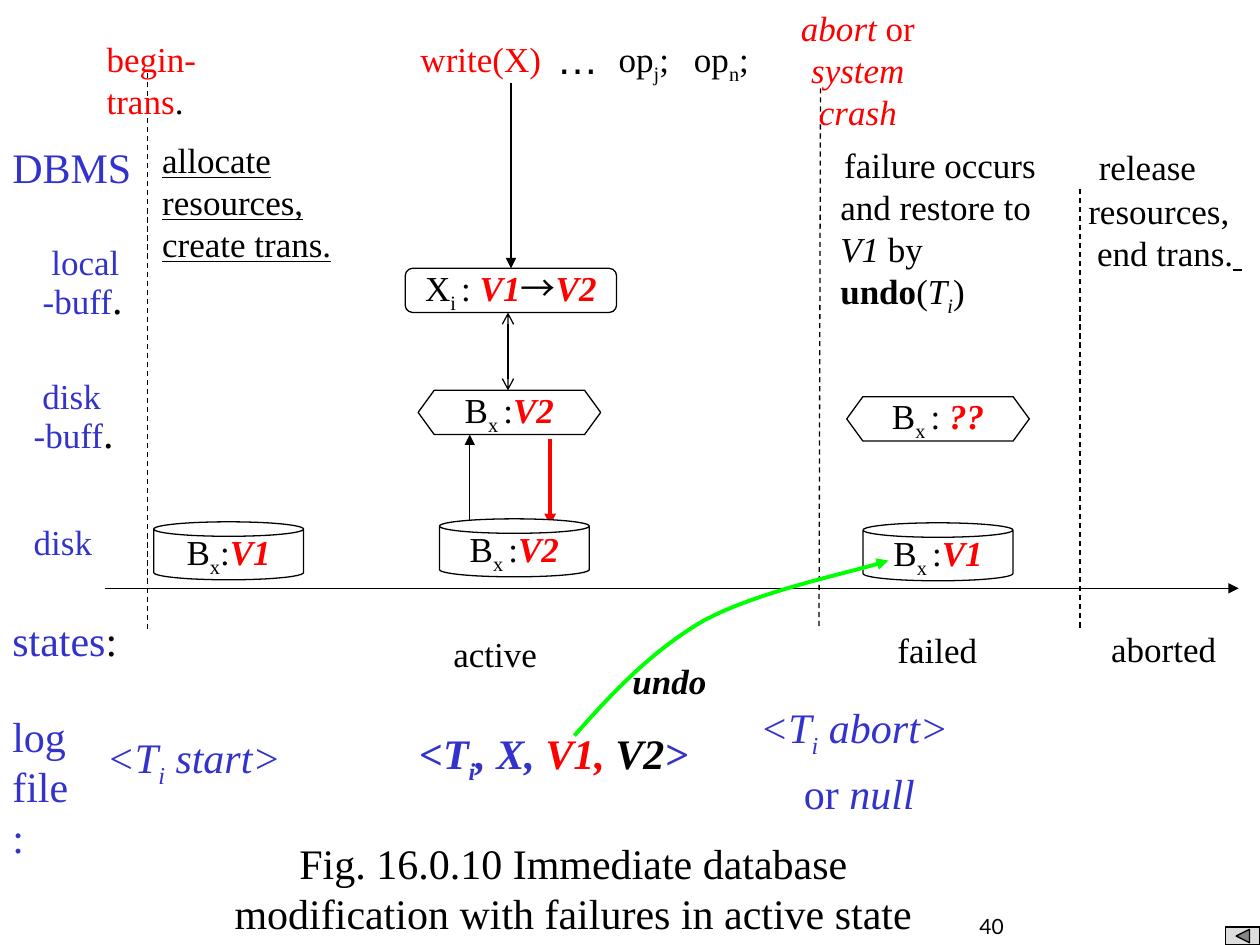
from lxml import etree
from pptx import Presentation
from pptx import util as u
from pptx.dml.color import RGBColor
from pptx.enum import dml, shapes, text
from pptx.oxml.ns import qn

COLORS = {"k": "000000", "b": "3333CC", "r": "FF0000", "g": "00FF00", "w": "FFFFFF", "grey": "DDDDDD"}
SERIF = "Times New Roman"
LEFT, CENTER = text.PP_ALIGN.LEFT, text.PP_ALIGN.CENTER
KIND = shapes.MSO_SHAPE


def fill_text(tf, paras, size=20, align=LEFT, font=SERIF):
    for n, runs in enumerate(paras):
        p = tf.paragraphs[0] if n == 0 else tf.add_paragraph()
        p.alignment = align
        p.font.name, p.font.size = font, u.Pt(size)
        for words, color, flags in runs:
            r = p.add_run()
            r.text = words
            r.font.color.rgb = RGBColor.from_string(COLORS[color])
            if "b" in flags:
                r.font.bold = True
            if "i" in flags:
                r.font.italic = True
            if "u" in flags:
                r.font.underline = True
            if "L" in flags:
                r.font.size = u.Pt(24)
            if "s" in flags:
                r.font._element.set("baseline", "-25000")
            if words == "→":
                r.font.name = "Noto Sans CJK SC"


def style_line(sp, color="k", width=0.75, dash=False, head=None, tail=None):
    sp.line.color.rgb = RGBColor.from_string(COLORS[color])
    sp.line.width = u.Pt(width)
    if dash:
        sp.line.dash_style = dml.MSO_LINE.DASH
    ln = sp.line._get_or_add_ln()
    for tag, kind in (("a:headEnd", head), ("a:tailEnd", tail)):
        if kind:
            etree.SubElement(ln, qn(tag)).set("type", kind)


prs = Presentation()
prs.slide_width, prs.slide_height = u.Cm(25.4), u.Cm(19.05)
s = prs.slides.add_slide(prs.slide_layouts[6])

arrow = {"tail": "triangle"}
lines = [
    (2.11, 11.86, 24.97, 11.86, arrow),
    (2.97, 1.47, 2.97, 12.7, {"dash": True}),
    (16.54, 1.78, 16.51, 12.7, {"dash": True}),
    (21.77, 3.81, 21.77, 12.7, {"dash": True}),
    (11.09, 8.84, 11.09, 10.59, {"color": "r", "width": 2.25, **arrow}),
    (9.47, 10.64, 9.47, 8.76, arrow),
    (10.24, 6.3, 10.24, 7.87, {"head": "arrow", "tail": "arrow"}),
    (10.3, 1.68, 10.3, 5.41, arrow),
]
for x1, y1, x2, y2, look in lines:
    write_line = s.shapes.add_connector(shapes.MSO_CONNECTOR.STRAIGHT, u.Cm(x1), u.Cm(y1), u.Cm(x2), u.Cm(y2))
    style_line(write_line, **look)
    etree.SubElement(write_line._element.spPr, qn("a:effectLst"))

sizes = {KIND.CAN: (3.02, 1.17, 0.25), KIND.HEXAGON: (3.68, 0.89, 0.363), KIND.ROUNDED_RECTANGLE: (4.26, 0.89, 0.167),
         KIND.ACTION_BUTTON_BACK_OR_PREVIOUS: (0.69, 0.36, None)}
nodes = [
    (KIND.CAN, 8.86, 10.46, "w", [("B", "k", ""), ("x ", "k", "s"), (":", "k", ""), ("V2", "r", "bi")]),
    (KIND.HEXAGON, 8.43, 7.87, "w", [("B", "k", ""), ("x ", "k", "s"), (":", "k", ""), ("V2", "r", "bi")]),
    (KIND.CAN, 17.4, 10.54, "w", [("B", "k", ""), ("x ", "k", "s"), (":", "k", ""), ("V1", "r", "bi")]),
    (KIND.HEXAGON, 17.07, 8, "w", [("B", "k", ""), ("x ", "k", "s"), (": ", "k", ""), ("??", "r", "bi")]),
    (KIND.CAN, 3.1, 10.52, "w", [("B", "k", ""), ("x", "k", "s"), (":", "k", ""), ("V1", "r", "bi")]),
    (KIND.ACTION_BUTTON_BACK_OR_PREVIOUS, 24.71, 18.69, "grey", []),
    (KIND.ROUNDED_RECTANGLE, 8.17, 5.41, "w", [("X", "k", ""), ("i ", "k", "s"), (": ", "k", ""), ("V1", "r", "bi"),
                                               ("→", "k", ""), ("V2", "r", "bi")]),
]
for kind, x, y, color, runs in nodes:
    w, h, adj = sizes[kind]
    sp = s.shapes.add_shape(kind, u.Cm(x), u.Cm(y), u.Cm(w), u.Cm(h))
    sp.shadow.inherit = False
    sp.fill.solid()
    sp.fill.fore_color.rgb = RGBColor.from_string(COLORS[color])
    style_line(sp)
    if adj:
        sp.adjustments[0] = adj
    if runs:
        tf = sp.text_frame
        tf.word_wrap = False
        tf.vertical_anchor = text.MSO_ANCHOR.MIDDLE
        fill_text(tf, [runs], align=CENTER)
    if kind == KIND.ROUNDED_RECTANGLE:
        write_line.end_connect(sp, 0)

labels = [
    (0, 2.72, 2.92, 1.27, False, [[("DBMS", "b", "")]], {"size": 24}),
    (0.43, 10.36, 1.68, 1.09, False, [[("disk", "b", "")]], {}),
    (1.9, 0.63, 3.8, 1.09, True, [[("begin-trans", "r", ""), (".", "k", "")]], {}),
    (3.02, 2.67, 5.65, 1.96, True, [[("allocate resources,", "k", "u")], [("create trans.", "k", "u")]], {}),
    (8.05, 0.63, 3.12, 1.09, False, [[(" ", "k", ""), ("write(X)", "r", "")]], {}),
    (10.97, 0.53, 1.35, 1.27, False, [[("…", "k", "")]], {"size": 24, "font": "Arial"}),
    (12.22, 0.63, 1.55, 1.09, False, [[("op", "k", ""), ("j", "k", "s"), (";", "k", "")]], {}),
    (13.74, 0.63, 1.65, 1.09, False, [[("op", "k", ""), ("n", "k", "s"), (";", "k", "")]], {}),
    (15.24, 0, 4.11, 1.96, True, [[(" ", "b", ""), ("abort", "r", "i"), (" or ", "r", "")],
                                  [("system crash", "r", "i")]], {"align": CENTER}),
    (16.69, 2.77, 4.7, 3.63, True, [[("failure occurs ", "k", "")],
                                    [("and restore to ", "k", ""), ("V1", "k", "i"), (" by ", "k", ""),
                                     ("undo", "k", "b"), ("(", "k", ""), ("T", "k", "i"), ("i", "k", "is"),
                                     (")", "k", "")]], {}),
    (21.69, 2.67, 3.71, 2.97, False, [[(" ", "k", "L"), ("release", "k", "")], [("resources,", "k", "")],
                                      [(" end trans.", "k", ""), (" ", "k", "u")]], {}),
    (0, 12.27, 2.84, 1.27, False, [[("states", "b", ""), (":", "k", "")]], {"size": 24}),
    (8.89, 12.62, 2.4, 1.09, False, [[("active", "k", "")]], {}),
    (17.63, 12.4, 2.6, 1.27, False, [[(" ", "k", "L"), ("failed", "k", "")]], {}),
    (22.15, 12.52, 2.62, 1.09, False, [[("aborted", "k", "")]], {"align": CENTER}),
    (0, 14.2, 2.03, 2.29, True, [[("log", "b", "")], [("file :", "b", "")]], {"size": 24}),
    (1.9, 14.63, 4.06, 1.27, False, [[("<T", "b", "i"), ("i", "b", "is"), (" start>", "b", "i")]], {"size": 24}),
    (8.2, 14.55, 5.97, 1.27, False, [[("<T", "b", "bi"), ("i", "b", "bis"), (", X, ", "b", "bi"), ("V1, ", "r", "bi"),
                                      ("V2", "k", "bi"), (">", "b", "bi")]], {"size": 24}),
    (12.5, 13.18, 2.01, 1.09, False, [[("undo", "k", "bi")]], {}),
    (3.66, 16.76, 15.8, 2.31, True,
     [[("Fig. 16.0.10 Immediate database modification with failures in active state", "k", "")]],
     {"size": 24, "align": CENTER}),
    (17.35, 17.78, 5.28, 1.27, True, [[("40", "k", "")]], {"size": 12, "align": CENTER, "font": "Lato"}),
    (13.31, 14.02, 6.55, 2.49, True, [[("<T", "b", "i"), ("i", "b", "is"), (" abort>", "b", "i")],
                                      [(" or", "b", ""), (" null", "b", "i")]], {"size": 24, "align": CENTER}),
]
for x, y, word in ((0.61, 4.88, "local"), (0.43, 7.59, "disk")):
    labels.append((x, y, 2.13, 1.75, False, [[(" ", "k", ""), (word, "b", "")],
                                             [("-buff", "b", ""), (".", "k", "L")]], {}))
for x, y, w, h, wrap, paras, look in labels:
    tf = s.shapes.add_textbox(u.Cm(x), u.Cm(y), u.Cm(w), u.Cm(h)).text_frame
    tf.word_wrap = wrap
    tf.auto_size = text.MSO_AUTO_SIZE.SHAPE_TO_FIT_TEXT
    fill_text(tf, paras, **look)
    words = "".join(r.text for p in tf.paragraphs for r in p.runs)
    if words == "40":
        tf.auto_size = text.MSO_AUTO_SIZE.NONE
        tf.vertical_anchor = text.MSO_ANCHOR.BOTTOM
    if words.startswith("failure"):
        tf.paragraphs[0].alignment = CENTER
    for p in tf.paragraphs:
        if "-buff" in words:
            p.line_spacing = 0.8
        if "null" in words:
            p._p.get_or_add_pPr().set("marL", str(u.Cm(1.27)))
    if "null" in words:
        tf.paragraphs[1].space_before = u.Pt(5)

curve = [(11.58, 14.83), (12.34, 13.97), (13.13, 13.13), (14.17, 12.52), (15.24, 11.94), (17.3, 11.51), (17.91, 11.3)]
points = [(u.Cm(x), u.Cm(y)) for x, y in curve]
fb = s.shapes.build_freeform(*points[0])
fb.add_line_segments(points[1:], close=False)
undo = fb.convert_to_shape()
undo.shadow.inherit = False
undo.fill.background()
style_line(undo, "g", 2.25, tail="triangle")
segments = undo._element.findall(".//" + qn("a:lnTo"))
outline = segments[0].getparent()
for n in range(0, len(segments), 3):
    bezier = etree.SubElement(outline, qn("a:cubicBezTo"))
    for segment in segments[n:n + 3]:
        bezier.append(segment[0])
        outline.remove(segment)

prs.save("out.pptx")
